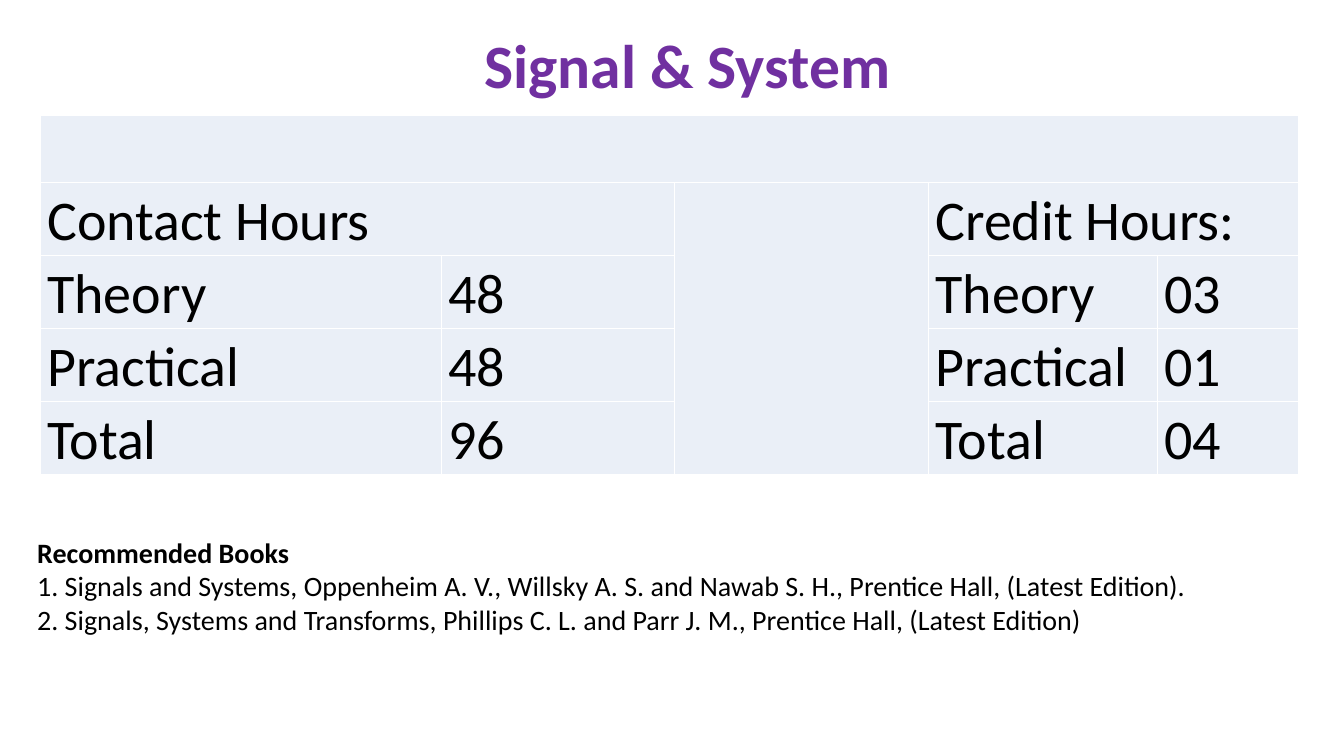
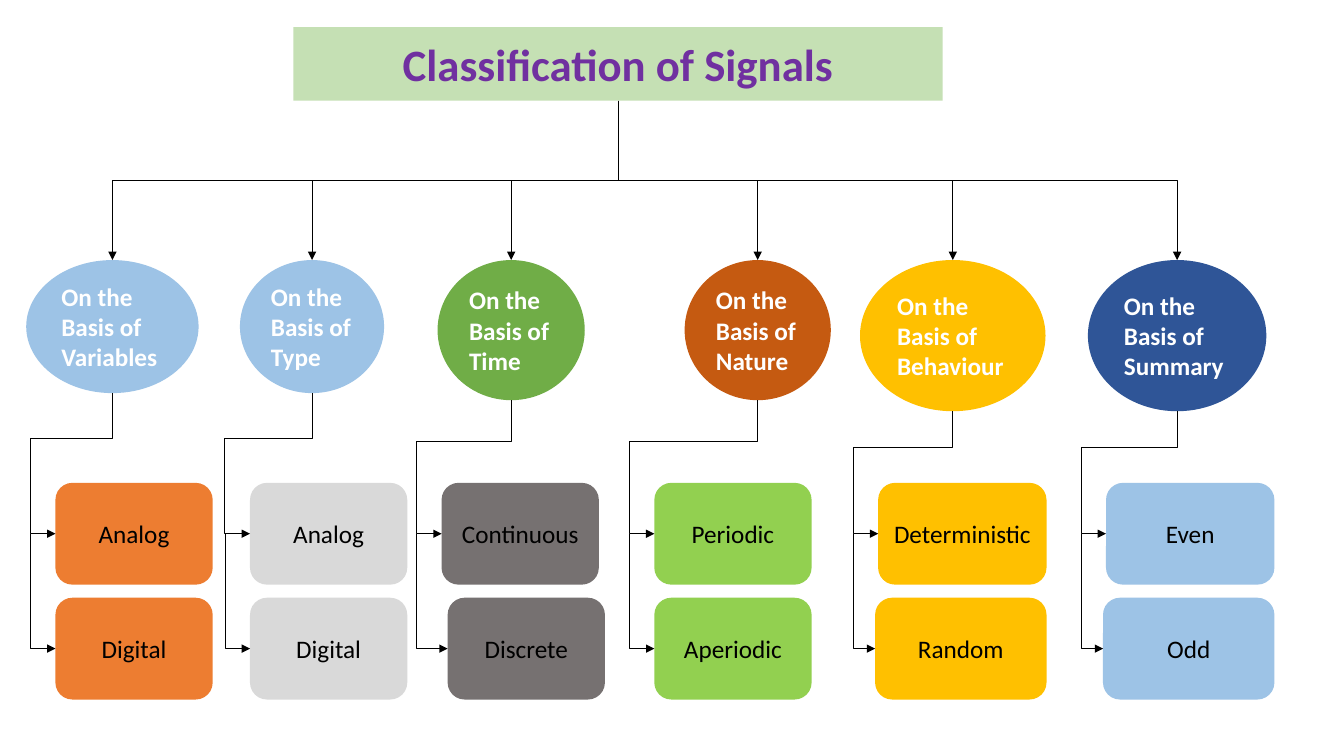
from dataclasses import dataclass

from lxml import etree
from pptx import Presentation
from pptx.dml.color import RGBColor
from pptx.enum.shapes import MSO_CONNECTOR, MSO_SHAPE
from pptx.enum.text import MSO_ANCHOR, PP_ALIGN
from pptx.oxml.ns import qn
from pptx.util import Inches, Pt

ELBOW = MSO_CONNECTOR.ELBOW
RECTANGLE, ELLIPSE, ROUNDED = MSO_SHAPE.RECTANGLE, MSO_SHAPE.OVAL, MSO_SHAPE.ROUNDED_RECTANGLE
LEFT, CENTER = PP_ALIGN.LEFT, PP_ALIGN.CENTER
TOP, MIDDLE = MSO_ANCHOR.TOP, MSO_ANCHOR.MIDDLE
TOP_SITE, LEFT_SITE, BOTTOM_SITE, ELLIPSE_BOTTOM_SITE = 0, 1, 2, 4


@dataclass(frozen=True)
class Theme:
    font: str = "Calibri"
    purple: str = "7030A0"
    black: str = "000000"
    white: str = "FFFFFF"
    cell: str = "EAEFF7"
    banner: str = "C5E0B4"
    sky: str = "9DC3E6"
    green: str = "70AD47"
    rust: str = "C55A11"
    amber: str = "FFC000"
    navy: str = "2F5597"
    orange: str = "ED7D31"
    silver: str = "D9D9D9"
    gray: str = "767171"
    lime: str = "92D050"
    title_size: float = 44
    table_size: float = 40
    banner_size: float = 32
    books_size: float = 20
    label_size: float = 18
    line_width: float = 0.5


THEME = Theme()

TABLE_HEIGHT, BLANK_ROW = 3.57, 0.67
COLUMN_WIDTHS = [3.98, 2.31, 2.52, 2.27, 1.4]
ROW_HEIGHTS = [BLANK_ROW] + [(TABLE_HEIGHT - BLANK_ROW) / 4] * 4
HOURS = [
    ["", "", "", "", ""],
    ["Contact Hours", "", "", "Credit Hours:", ""],
    ["Theory", "48", "", "Theory", "03"],
    ["Practical", "48", "", "Practical", "01"],
    ["Total", "96", "", "Total", "04"],
]
MERGES = [((0, 0), (0, 4)), ((1, 0), (1, 1)), ((1, 2), (4, 2)), ((1, 3), (1, 4))]

BOOKS = [
    "Recommended Books",
    "1. Signals and Systems, Oppenheim A. V., Willsky A. S. and Nawab S. H., Prentice Hall, (Latest Edition).",
    "2. Signals, Systems and Transforms, Phillips C. L. and Parr J. M., Prentice Hall, (Latest Edition)",
]

BASIS_TOP = 2.58
KIND_TOP, KIND_PITCH, KIND_HEIGHT = 4.79, 1.14, 1.01
RAIL_GAP = 0.25
BRANCHES = [
    ("Variables", (0.26, 1.71, 1.32), THEME.sky, THEME.orange,
     [("Analog", 0.55, 1.56), ("Digital", 0.55, 1.56)]),
    ("Type", (2.38, 1.43, 1.32), THEME.sky, THEME.silver,
     [("Analog", 2.48, 1.56), ("Digital", 2.48, 1.56)]),
    ("Time", (4.34, 1.46, 1.39), THEME.green, THEME.gray,
     [("Continuous", 4.38, 1.56), ("Discrete", 4.44, 1.56)]),
    ("Nature", (6.79, 1.45, 1.39), THEME.rust, THEME.lime,
     [("Periodic", 6.49, 1.56), ("Aperiodic", 6.49, 1.56)]),
    ("Behaviour", (8.53, 1.84, 1.5), THEME.amber, THEME.amber,
     [("Deterministic", 8.71, 1.67), ("Random", 8.68, 1.7)]),
    ("Summary", (10.79, 1.77, 1.5), THEME.navy, THEME.sky,
     [("Even", 10.97, 1.67), ("Odd", 10.94, 1.7)]),
]


def apply_format(target, values):
    for name, value in values.items():
        setattr(target, name, value)


def write_para(para, text, size, color, bold=False, align=LEFT, spacing=1.0):
    apply_format(para, {"alignment": align, "line_spacing": spacing})
    span = para.add_run()
    span.text = text
    apply_format(span.font, {"name": THEME.font, "size": Pt(size), "bold": bold})
    span.font.color.rgb = RGBColor.from_string(color)


def add_text(page, area, anchor=TOP):
    frame = page.shapes.add_textbox(*map(Inches, area)).text_frame
    apply_format(frame, {"word_wrap": True, "vertical_anchor": anchor})
    return frame


def add_box(page, preset, area, fill, text, **style):
    box = page.shapes.add_shape(preset, *map(Inches, area))
    box.shadow.inherit = False
    box.fill.solid()
    box.fill.fore_color.rgb = RGBColor.from_string(fill)
    box.line.fill.background()
    apply_format(box.text_frame, {
        "word_wrap": True, "vertical_anchor": MIDDLE, "margin_right": Inches(0.05),
        "margin_left": Inches(0.1 if preset == ELLIPSE else 0.05),
    })
    write_para(box.text_frame.paragraphs[0], text, **style)
    return box


def bottom_middle(box):
    return box.left + box.width // 2, box.top + box.height


def left_middle(box):
    return box.left, box.top + box.height // 2


def add_elbow(page, start, end, preset, bends=(), begin=None, finish=None):
    across, down = end[0] - start[0], end[1] - start[1]
    elbow = page.shapes.add_connector(ELBOW, 0, 0, 0, 0)
    apply_format(elbow, {
        "left": (start[0] + end[0] - down) // 2,
        "top": (start[1] + end[1] - abs(across)) // 2,
        "width": down, "height": abs(across),
    })
    elbow.line.width = Pt(THEME.line_width)
    elbow.line.color.rgb = RGBColor.from_string(THEME.black)
    properties = elbow._element.spPr
    frame = properties.find(qn("a:xfrm"))
    frame.set("rot", str((90 if across < 0 else 270) * 60000))
    if across > 0:
        frame.set("flipH", "1")
    geometry = properties.find(qn("a:prstGeom"))
    geometry.set("prst", preset)
    guides = geometry.find(qn("a:avLst"))
    for number, bend in enumerate(bends, 1):
        etree.SubElement(guides, qn("a:gd"), name=f"adj{number}",
                         fmla=f"val {round(bend * 100000)}")
    outline = properties.find(qn("a:ln"))
    etree.SubElement(outline, qn("a:tailEnd"), type="triangle")
    etree.SubElement(properties, qn("a:effectLst"))
    links = elbow._element.find(f"{qn('p:nvCxnSpPr')}/{qn('p:cNvCxnSpPr')}")
    for tag, joint in (("a:stCxn", begin), ("a:endCxn", finish)):
        if joint:
            box, site = joint
            etree.SubElement(links, qn(tag), id=str(box.shape_id), idx=str(site))


def add_cell_borders(cell, color):
    properties = cell._tc.get_or_add_tcPr()
    for position, side in enumerate(("lnL", "lnR", "lnT", "lnB")):
        border = etree.Element(qn(f"a:{side}"), w=str(Pt(1)))
        fill = etree.SubElement(border, qn("a:solidFill"))
        etree.SubElement(fill, qn("a:srgbClr"), val=color)
        properties.insert(position, border)


def add_hours_table(page):
    area = map(Inches, (0.4, 1.14, sum(COLUMN_WIDTHS), TABLE_HEIGHT))
    table = page.shapes.add_table(len(HOURS), len(COLUMN_WIDTHS), *area).table
    apply_format(table, {"first_row": False, "horz_banding": False})
    for column, width in zip(table.columns, COLUMN_WIDTHS):
        column.width = Inches(width)
    for row, height, texts in zip(table.rows, ROW_HEIGHTS, HOURS):
        row.height = Inches(height)
        for cell, text in zip(row.cells, texts):
            apply_format(cell, {
                "margin_left": Inches(0.07), "margin_right": Inches(0.07),
                "margin_top": 0, "margin_bottom": 0,
            })
            cell.fill.solid()
            cell.fill.fore_color.rgb = RGBColor.from_string(THEME.cell)
            add_cell_borders(cell, THEME.white)
            if text:
                write_para(cell.text_frame.paragraphs[0], text, THEME.table_size,
                           THEME.black, spacing=1.07)
    for first, last in MERGES:
        table.cell(*first).merge(table.cell(*last))


def add_branch(page, banner, name, basis_area, basis_fill, kind_fill, kinds):
    left, width, height = basis_area
    basis = add_box(page, ELLIPSE, (left, BASIS_TOP, width, height), basis_fill,
                    f"On the Basis of {name}", size=THEME.label_size,
                    color=THEME.white, bold=True)
    start = bottom_middle(basis)
    add_elbow(page, bottom_middle(banner), (start[0], basis.top), "bentConnector3",
              begin=(banner, BOTTOM_SITE), finish=(basis, TOP_SITE))

    first, second = [
        add_box(page, ROUNDED,
                (kind_left, KIND_TOP + index * KIND_PITCH, kind_width, KIND_HEIGHT),
                kind_fill, text, size=THEME.label_size, color=THEME.black, align=CENTER)
        for index, (text, kind_left, kind_width) in enumerate(kinds)
    ]
    end = left_middle(first)
    bends = ((first.top - start[1]) / 2 / (end[1] - start[1]),
             1 + Inches(RAIL_GAP) / (start[0] - end[0]))
    add_elbow(page, start, end, "bentConnector4", bends,
              begin=(basis, ELLIPSE_BOTTOM_SITE), finish=(first, LEFT_SITE))
    add_elbow(page, (end[0] - Inches(RAIL_GAP), end[1]), left_middle(second),
              "bentConnector2", finish=(second, LEFT_SITE))


def build_course_page(page):
    title = add_text(page, (1.07, 0.22, 11.5, 0.92), MIDDLE)
    write_para(title.paragraphs[0], "Signal & System", THEME.title_size, THEME.purple,
               bold=True, align=CENTER, spacing=0.9)
    add_hours_table(page)
    books = add_text(page, (0.27, 5.26, 12.82, 1.11))
    for index, text in enumerate(BOOKS):
        para = books.add_paragraph() if index else books.paragraphs[0]
        write_para(para, text, THEME.books_size, THEME.black, bold=index == 0)


def build_classification_page(page):
    banner = add_box(page, RECTANGLE, (2.91, 0.27, 6.44, 0.73), THEME.banner,
                     "Classification of Signals", size=THEME.banner_size,
                     color=THEME.purple, bold=True, align=CENTER)
    for branch in BRANCHES:
        add_branch(page, banner, *branch)


def main():
    deck = Presentation()
    apply_format(deck, {"slide_width": Inches(13.33), "slide_height": Inches(7.5)})
    for build in (build_course_page, build_classification_page):
        build(deck.slides.add_slide(deck.slide_layouts[6]))
    deck.save("out.pptx")


if __name__ == "__main__":
    main()
